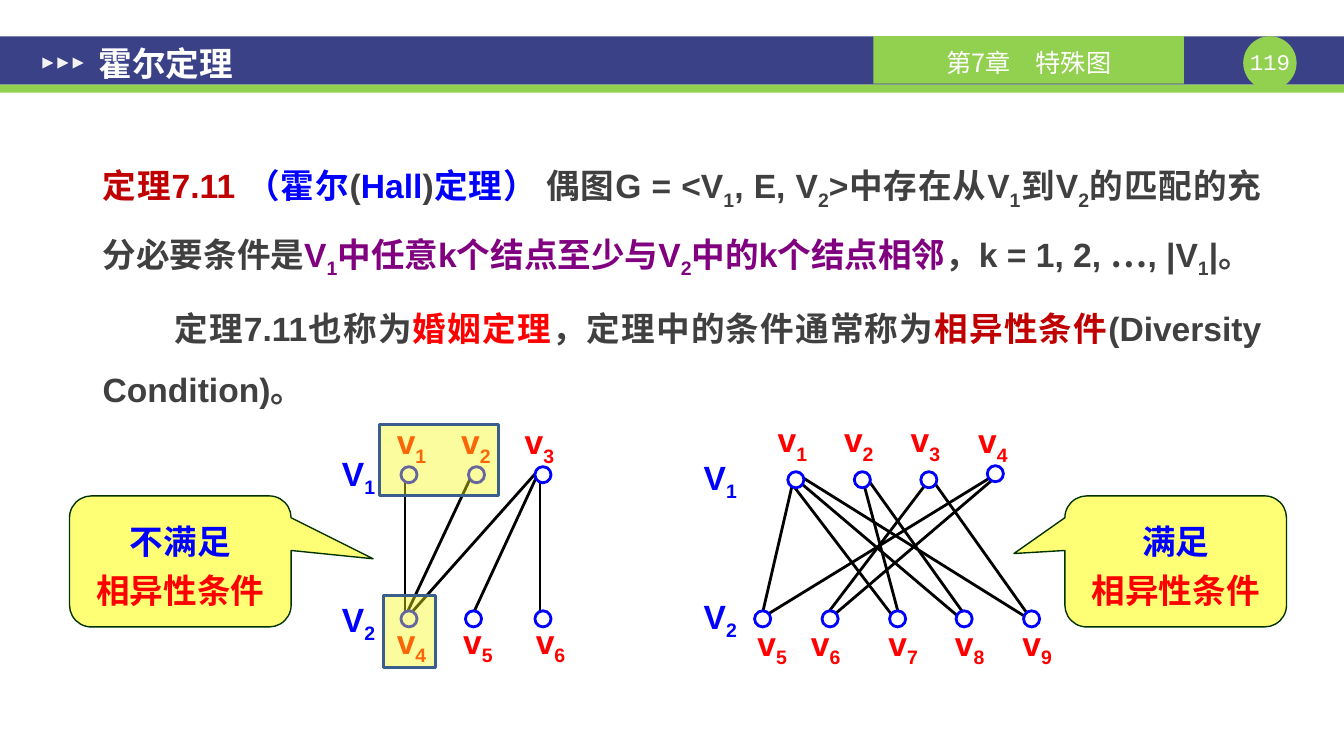
import pptx
import pptx.util
import pptx.dml.color
import pptx.enum.shapes
import pptx.enum.text
import pptx.oxml.ns
import lxml.etree
from dataclasses import dataclass

SCALE = 9144  # EMU in one px, 100 px to the inch
KIND = pptx.enum.shapes.MSO_SHAPE
ALIGN = pptx.enum.text.PP_ALIGN
ANCHOR = pptx.enum.text.MSO_ANCHOR
qn = pptx.oxml.ns.qn


@dataclass(frozen=True)
class Theme:
    navy: str = "3A4187"
    green: str = "92D050"
    white: str = "FFFFFF"
    pale: str = "F2F2F2"
    gray: str = "404040"
    crimson: str = "C00000"
    red: str = "FF0000"
    blue: str = "0000FF"
    purple: str = "800080"
    black: str = "000000"
    note: str = "FFFF66"
    edge: str = "003300"
    mark: str = "F4FA12"
    frame: str = "3A5F8C"
    latin: str = "Arial"
    mono: str = "Courier New"
    han: str = "Noto Sans CJK SC"
    main: int = 24
    chap: int = 18
    page: int = 16


T = Theme()


def px(n):
    return pptx.util.Emu(n * SCALE)


def rgb(code):
    return pptx.dml.color.RGBColor.from_string(code)


def write(shape, paras, size=T.main, font=T.latin, bold=True, align=ALIGN.CENTER,
          anchor=ANCHOR.TOP, inset=(0, 0, 0, 0), space=1, before=0, wrap=True):
    """Each paragraph is (indent, runs), each run (text, colour[, font]); _x sets x as subscript."""
    frame = shape.text_frame
    frame.word_wrap = wrap
    frame.vertical_anchor = anchor
    (frame.margin_left, frame.margin_top,
     frame.margin_right, frame.margin_bottom) = map(px, inset)
    for i, (indent, runs) in enumerate(paras):
        para = frame.add_paragraph() if i else frame.paragraphs[0]
        para.alignment = align
        para.line_spacing = space
        para.space_before = pptx.util.Pt(before)
        if indent:
            props = para._p.get_or_add_pPr()
            props.set("marL", "0")
            props.set("indent", str(px(indent)))
        for text, color, *face in runs:
            head, *rest = text.split("_")
            parts = [(head, False)]
            for piece in rest:
                parts += [(piece[0], True), (piece[1:], False)]
            for part, sub in parts:
                if not part:
                    continue
                run = para.add_run()
                run.text = part
                run.font.size = pptx.util.Pt(size)
                run.font.bold = bold
                run.font.color.rgb = rgb(color)
                run.font.name = face[0] if face else font
                props = run.font._element
                lxml.etree.SubElement(props, qn("a:ea")).set("typeface", T.han)
                if sub:
                    props.set("baseline", "-25000")


def draw(shapes, kind, box, fill, line=None, width=2, alpha=100):
    shape = shapes.add_shape(kind, *map(px, box))
    shape.shadow.inherit = False
    shape.fill.solid()
    shape.fill.fore_color.rgb = rgb(fill)
    if alpha < 100:
        color = shape.element.spPr.find(".//" + qn("a:srgbClr"))
        lxml.etree.SubElement(color, qn("a:alpha")).set("val", str(alpha * 1000))
    if line:
        shape.line.color.rgb = rgb(line)
        shape.line.width = pptx.util.Pt(width)
    else:
        shape.line.fill.background()
    return shape


def label(shapes, box, text, color, **form):
    area = shapes.add_textbox(*map(px, box))
    write(area, [(0, [(text, color)])], **form)


def header(shapes, x, y, w):
    # Bars and page badge
    draw(shapes, KIND.RECTANGLE, (x, y, w, 48), T.navy)
    draw(shapes, KIND.RECTANGLE, (x, y + 48, w, 8), T.green)
    badge = x + w - 100
    draw(shapes, KIND.OVAL, (badge, y, 53, 53), T.green)
    label(shapes, (badge, y + 12, 53, 27), "119", T.white,
          size=T.page, font=T.mono, bold=False)
    # Chapter tab
    tab = draw(shapes, KIND.RECTANGLE, (x + w - 467, y, 308, 47), T.green)
    write(tab, [(0, [("第7章　特殊图", T.white)])], size=T.chap, font=T.han,
          bold=False, anchor=ANCHOR.MIDDLE, inset=(10, 4, 10, 0))
    # Arrow marks and title
    for i in range(3):
        mark = draw(shapes, KIND.ISOSCELES_TRIANGLE, (x + 42 + 15 * i, y + 21, 11, 11), T.pale)
        mark.rotation = 90
    label(shapes, (x + 85, y + 3, 583, 47), "霍尔定理", T.white,
          align=ALIGN.LEFT, anchor=ANCHOR.MIDDLE, inset=(13, 7, 13, 7))


def theorem(shapes, box):
    area = shapes.add_textbox(*map(px, box))
    claim = [
        ("定理7.11 ", T.crimson), ("（霍尔", T.blue), ("(", T.gray), ("Hall", T.blue),
        (")", T.gray), ("定理） ", T.blue),
        ("偶图G = <V_1, E, V_2>中存在从V_1到V_2的匹配的充分必要条件是", T.gray),
        ("V_1中任意k个结点至少与V_2中的k个结点相邻", T.purple),
        ("，k = 1, 2, ", T.gray), ("…", T.gray, T.han), (", |V_1|。", T.gray),
    ]
    remark = [
        ("定理7.11也称为", T.gray), ("婚姻定理", T.red),
        ("，定理中的条件通常称为", T.gray), ("相异性条件", T.crimson),
        ("(Diversity Condition)。", T.gray),
    ]
    write(area, [(0, claim), (71, remark)], align=ALIGN.JUSTIFY,
          inset=(13, 7, 13, 7), space=1.5, before=6)


def graph(shapes, x, y, edges, nodes, sides, marks=()):
    group = shapes.add_group_shape().shapes
    # Edges
    for x1, y1, x2, y2 in edges:
        edge = group.add_connector(pptx.enum.shapes.MSO_CONNECTOR.STRAIGHT,
                                   px(x + x1), px(y + y1), px(x + x2), px(y + y2))
        edge.line.color.rgb = rgb(T.black)
        edge.line.width = pptx.util.Pt(2)
        lxml.etree.SubElement(edge._element.spPr, qn("a:effectLst"))
    # Vertices and their names
    for i, (dot, top, left, high) in enumerate(nodes, 1):
        draw(group, KIND.OVAL, (x + dot, y + top, 16, 16), T.white, T.blue)
        label(group, (x + left, y + high, 43, 40), f"v_{i}", T.red)
    # Names of the two sides
    for i, top in enumerate(sides, 1):
        label(group, (x, y + top, 56, 40), f"V_{i}", T.blue)
    # Highlights
    for left, top, w, h in marks:
        draw(shapes, KIND.FLOWCHART_PROCESS, (x + left, y + top, w, h),
             T.mark, T.frame, alpha=41)


def callout(shapes, x, y, tip, verdict):
    note = draw(shapes, KIND.ROUNDED_RECTANGULAR_CALLOUT, (x, y, 220, 130),
                T.note, T.edge, width=1, alpha=90)
    for i, value in enumerate((*tip, 0.167)):
        note.adjustments[i] = value
    write(note, [(0, [(verdict, T.blue)]), (0, [("相异性条件", T.red)])],
          anchor=ANCHOR.MIDDLE, inset=(10, 5, 10, 5), space=1.2)


def main():
    deck = pptx.Presentation()
    deck.slide_width, deck.slide_height = px(1334), px(750)
    shapes = deck.slides.add_slide(deck.slide_layouts[6]).shapes
    header(shapes, 0, 36, 1334)
    theorem(shapes, (89, 134, 1176, 291))
    # Graph that fails the condition
    graph(shapes, 328, 418,
          edges=[(208, 52, 208, 190), (74, 52, 74, 190), (141, 52, 76, 190),
                 (205, 50, 82, 188), (206, 52, 142, 190)],
          nodes=[(70, 45, 59, 0), (137, 45, 123, 0), (203, 45, 186, 0),
                 (70, 188, 59, 198), (134, 188, 125, 198), (203, 188, 197, 198)],
          sides=(31, 176),
          marks=[(49, 3, 118, 71), (53, 173, 51, 71)])
    # Graph that meets the condition
    graph(shapes, 687, 416,
          edges=[(169, 59, 206, 197), (237, 58, 335, 196), (99, 64, 199, 195),
                 (101, 58, 69, 196), (110, 58, 331, 196), (104, 60, 267, 198),
                 (236, 59, 131, 197), (174, 59, 272, 196), (304, 55, 142, 193),
                 (299, 56, 74, 194)],
          nodes=[(95, 52, 78, 0), (161, 52, 144, 0), (227, 52, 210, 0), (293, 46, 277, 1),
                 (62, 190, 58, 202), (129, 190, 111, 202), (196, 190, 188, 202),
                 (262, 190, 254, 202), (329, 190, 321, 202)],
          sides=(37, 175))
    callout(shapes, 69, 492, (0.87, -0.02), "不满足")
    callout(shapes, 1057, 492, (-0.73, -0.06), "满足")
    deck.save("out.pptx")


if __name__ == "__main__":
    main()
